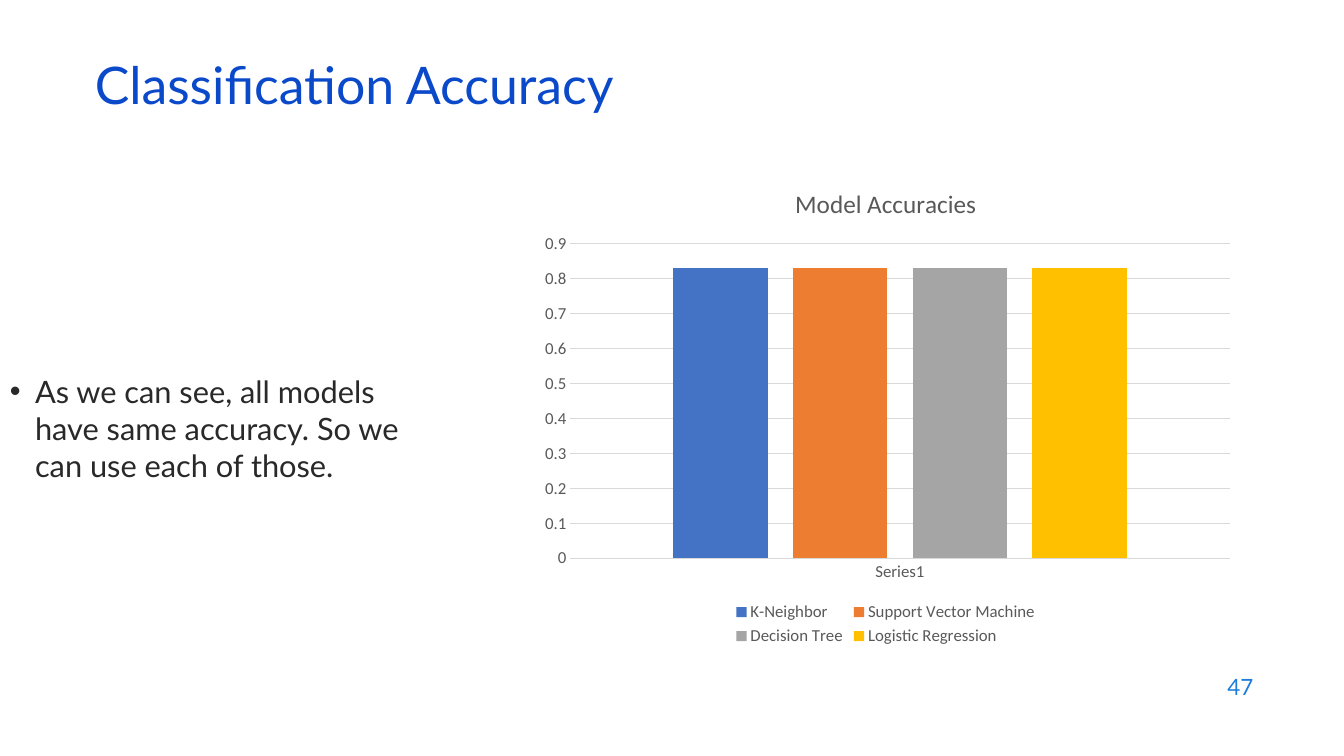
from lxml import etree
from pptx import Presentation
from pptx import util as u
from pptx.chart import data as chart_data
from pptx.dml.color import RGBColor
from pptx.enum import chart as charts, text
from pptx.oxml import ns

TITLE_BLUE = RGBColor(0x0B, 0x49, 0xCB)
NUMBER_BLUE = RGBColor(0x1C, 0x7D, 0xDB)
BODY_INK = RGBColor(0x29, 0x29, 0x29)
LABEL_GREY = RGBColor(0x59, 0x59, 0x59)
GRID_GREY = RGBColor(0xD9, 0xD9, 0xD9)
MODELS = [
    ("K-Neighbor", 0.83, RGBColor(0x44, 0x72, 0xC4)),
    ("Support Vector Machine", 0.83, RGBColor(0xED, 0x7D, 0x31)),
    ("Decision Tree", 0.83, RGBColor(0xA5, 0xA5, 0xA5)),
    ("Logistic Regression", 0.83, RGBColor(0xFF, 0xC0, 0x00)),
]


class Page:
    """One slide with its text and chart styles."""

    text_font = "Lato"
    chart_font = "Calibri"

    def __init__(self, deck):
        self.slide = deck.slides.add_slide(deck.slide_layouts[5])

    def style(self, font, name, size, color):
        font.name, font.size, font.bold = name, u.Pt(size), False
        font.color.rgb = color

    def fill_box(self, box, place, words, size, color, align, anchor):
        box.left, box.top, box.width, box.height = map(u.Inches, place)
        frame = box.text_frame
        frame.word_wrap = True
        frame.auto_size = text.MSO_AUTO_SIZE.NONE
        frame.vertical_anchor = anchor
        para = frame.paragraphs[0]
        para.alignment = align
        span = para.add_run()
        span.text = words
        self.style(span.font, self.text_font, size, color)
        return para

    def title(self, place, words):
        para = self.fill_box(self.slide.shapes.title, place, words, 37, TITLE_BLUE,
                             text.PP_ALIGN.LEFT, text.MSO_ANCHOR.MIDDLE)
        para.line_spacing = 0.8

    def label(self, place, words, size, color, align=text.PP_ALIGN.LEFT,
              anchor=text.MSO_ANCHOR.TOP):
        box = self.slide.shapes.add_textbox(0, 0, 0, 0)
        return self.fill_box(box, place, words, size, color, align, anchor)

    def bullet(self, place, words):
        para = self.label(place, words, 22, BODY_INK)
        props = para._p.get_or_add_pPr()
        props.set("marL", str(u.Inches(0.25)))
        props.set("indent", str(u.Inches(-0.25)))
        etree.SubElement(props, ns.qn("a:buFont"), typeface="Arial")
        etree.SubElement(props, ns.qn("a:buChar"), char="•")

    def column_chart(self, place, heading, category, models, plot_area):
        data = chart_data.CategoryChartData()
        data.categories = [category]
        for name, value, _ in models:
            data.add_series(name, [value])
        chart = self.slide.shapes.add_chart(
            charts.XL_CHART_TYPE.COLUMN_CLUSTERED, *map(u.Inches, place), data).chart
        self.style(chart.font, self.chart_font, 12, LABEL_GREY)

        # Heading and legend
        chart.has_title = True
        span = chart.chart_title.text_frame.paragraphs[0].add_run()
        span.text = heading
        self.style(span.font, self.chart_font, 18, LABEL_GREY)
        chart.chart_title.include_in_layout = False
        chart.has_legend = True
        chart.legend.position = charts.XL_LEGEND_POSITION.BOTTOM
        chart.legend.include_in_layout = False
        self.style(chart.legend.font, self.chart_font, 12, LABEL_GREY)

        # Columns
        plot = chart.plots[0]
        plot.vary_by_categories = False
        plot.gap_width, plot.overlap = 219, -27
        for series, (_, _, color) in zip(plot.series, models):
            series.format.fill.solid()
            series.format.fill.fore_color.rgb = color

        # Axes
        for axis in (chart.category_axis, chart.value_axis):
            axis.major_tick_mark = axis.minor_tick_mark = charts.XL_TICK_MARK.NONE
            self.style(axis.tick_labels.font, self.chart_font, 12, LABEL_GREY)
        values = chart.value_axis
        values.minimum_scale, values.maximum_scale, values.major_unit = 0, 0.9, 0.1
        values.format.line.fill.background()
        for line in (chart.category_axis.format.line, values.major_gridlines.format.line):
            line.color.rgb = GRID_GREY
            line.width = u.Pt(0.75)

        # Plot area, as shares of the chart
        area = chart._chartSpace.chart.plotArea
        for old in area.findall(ns.qn("c:layout")):
            area.remove(old)
        layout = etree.Element(ns.qn("c:layout"))
        area.insert(0, layout)
        manual = etree.SubElement(layout, ns.qn("c:manualLayout"))
        settings = {"layoutTarget": "inner", "xMode": "edge", "yMode": "edge"}
        settings.update(zip("xywh", plot_area))
        for key, value in settings.items():
            etree.SubElement(manual, ns.qn(f"c:{key}"), val=str(value))


def main():
    deck = Presentation()
    deck.slide_width, deck.slide_height = u.Inches(13.33), u.Inches(7.5)
    page = Page(deck)

    # Title and finding
    page.title((0.84, 0.59, 11.5, 0.6), "Classification Accuracy")
    page.bullet((0, 3.65, 4.4, 1.36),
                "As we can see, all models have same accuracy. So we can use each of those.")

    # Accuracy chart
    page.column_chart((5.23, 1.65, 7.11, 4.8), "Model Accuracies", "Series1", MODELS,
                      (0.06, 0.16, 0.92, 0.65))

    # Page number
    page.label((9.53, 6.59, 3, 0.44), "47", 16, NUMBER_BLUE,
               text.PP_ALIGN.RIGHT, text.MSO_ANCHOR.MIDDLE)
    deck.save("out.pptx")


if __name__ == "__main__":
    main()
